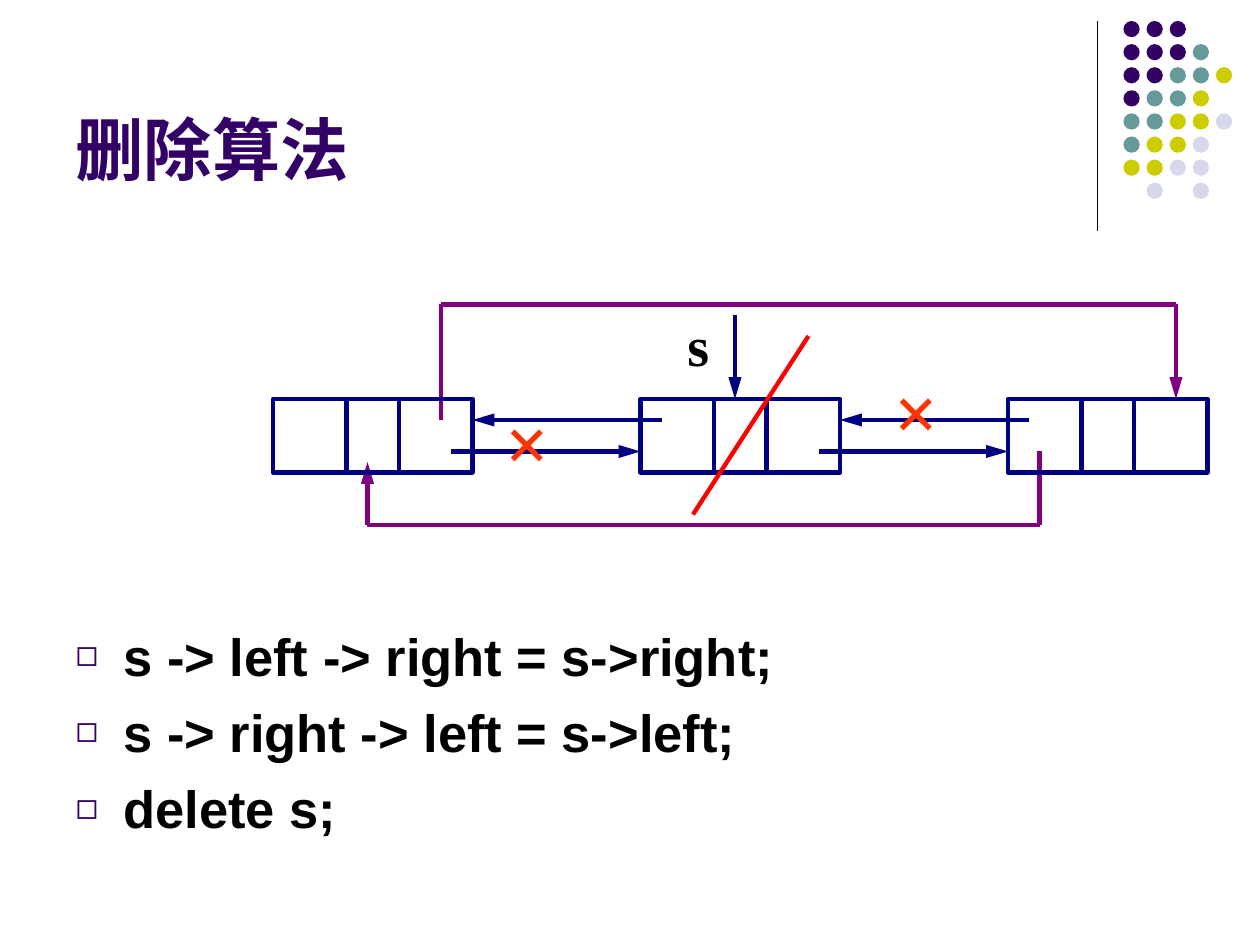
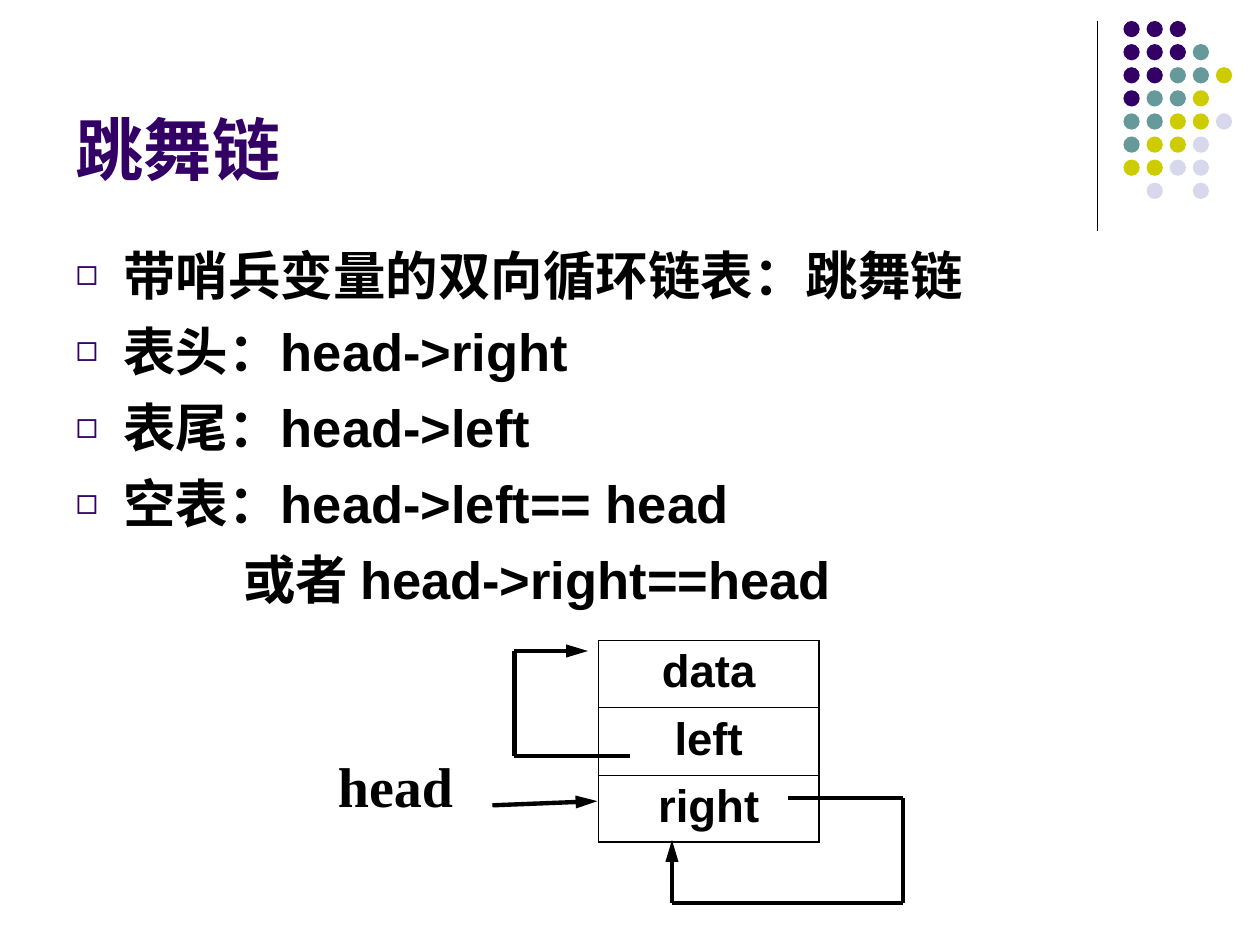
import itertools

import pptx
import pptx.dml.color
import pptx.enum.shapes
import pptx.enum.text
import pptx.oxml
import pptx.oxml.ns
import pptx.util

RGB = pptx.dml.color.RGBColor
PURPLE = RGB(0x33, 0x00, 0x66)
TEAL = RGB(0x66, 0x99, 0x99)
LIME = RGB(0xCC, 0xCC, 0x00)
PALE = RGB(0xD8, 0xD8, 0xEC)
BLACK = RGB(0, 0, 0)
NAVY = RGB(0x00, 0x00, 0x80)
PLUM = RGB(0x80, 0x00, 0x80)
RED = RGB(0xFF, 0x00, 0x00)
CROSS = RGB(0xFF, 0x33, 0x00)

SANS, SERIF = "Arial", "Times New Roman"
DOTS = ("ppp", "pppt", "pptty", "ptty", "ttyyl", "tyyl", "yyll", " l l")
HUES = {"p": PURPLE, "t": TEAL, "y": LIME, "l": PALE}
NODES = (26, 61, 96)  # left column of each list node
WIDE, HIGH, TOP = 19, 7, 38  # node size and top row


def grid(*units):
    """Lengths on a grid of 120 columns by 90 rows, 12 to the inch."""
    return [pptx.util.Inches(unit / 12) for unit in units]


def add_xml(parent, tag, **attrs):
    node = pptx.oxml.parse_xml(f"<a:{tag} {pptx.oxml.ns.nsdecls('a')}/>")
    for key, value in attrs.items():
        node.set(key, str(value))
    parent.append(node)
    return node


def write(frame, *lines, size=30, font=SANS, color=BLACK, align=None,
          before=0, bold=True):
    """Fill a frame, one paragraph a line."""
    frame.word_wrap = True
    frame.auto_size = pptx.enum.text.MSO_AUTO_SIZE.NONE
    for pos, line in enumerate(lines):
        para = frame.paragraphs[0] if pos == 0 else frame.add_paragraph()
        para.space_before = pptx.util.Pt(before)
        para.alignment = align
        run = para.add_run()
        run.text = line
        run.font.size = pptx.util.Pt(size)
        run.font.name = font
        run.font.bold = bold
        run.font.color.rgb = color


def bullet(para):
    props = para._p.get_or_add_pPr()
    indent = pptx.util.Inches(0.38)
    props.set("marL", str(indent))
    props.set("indent", str(-indent))
    add_xml(add_xml(props, "buClr"), "srgbClr", val=PURPLE)
    add_xml(props, "buSzPct", val=70000)
    add_xml(props, "buFont", typeface=SANS)
    add_xml(props, "buChar", char="◻")


def label(shapes, text, box, **style):
    write(shapes.add_textbox(*grid(*box)).text_frame, text, font=SERIF, **style)


def trace(shapes, *points, color=BLACK, width=2.5, arrow=False):
    """Join the points by straight lines; an arrow ends the last one."""
    for start, end in itertools.pairwise(points):
        line = shapes.add_connector(pptx.enum.shapes.MSO_CONNECTOR.STRAIGHT,
                                    *grid(*start, *end))
        line.line.color.rgb = color
        line.line.width = pptx.util.Pt(width)
        add_xml(line.element.spPr, "effectLst")
    if arrow:
        add_xml(line.line._get_or_add_ln(), "tailEnd",
                type="triangle", w="med", len="lg")


def shape(shapes, kind, box, fill=None, edge=None):
    item = shapes.add_shape(kind, *grid(*box))
    item.shadow.inherit = False
    if fill is None:
        item.fill.background()
    else:
        item.fill.solid()
        item.fill.fore_color.rgb = fill
    if edge is None:
        item.line.fill.background()
    else:
        item.line.color.rgb = edge
        item.line.width = pptx.util.Pt(2.5)


def node(shapes, left):
    shape(shapes, pptx.enum.shapes.MSO_SHAPE.RECTANGLE,
          (left, TOP, WIDE, HIGH), edge=NAVY)
    for col in (left + 7, left + 12):
        trace(shapes, (col, TOP), (col, TOP + HIGH), color=NAVY)


def border(cell, side, width):
    props = cell._tc.get_or_add_tcPr()
    line = add_xml(props, side, w=pptx.util.Pt(width))
    add_xml(add_xml(line, "solidFill"), "srgbClr", val=BLACK)


def field_table(shapes, names, box):
    table = shapes.add_table(len(names), 1, *grid(*box)).table
    table.first_row = table.horz_banding = False
    last = len(names) - 1
    for row, name in enumerate(names):
        cell = table.cell(row, 0)
        write(cell.text_frame, name, size=26, before=6.5,
              align=pptx.enum.text.PP_ALIGN.CENTER)
        for side, width in (("lnL", 1.08), ("lnR", 1.08),
                            ("lnT", 0.45 if row else 1.08),
                            ("lnB", 0.45 if row < last else 1.08)):
            border(cell, side, width)
        cell.fill.background()


def set_theme(layout, slide):
    """Give the layout its placeholder places, rule and dot pattern."""
    for spot, box in zip(layout.placeholders,
                         ((6, 1.6, 99, 17), (6, 22.5, 108, 57.9))):
        spot.left, spot.top, spot.width, spot.height = grid(*box)
    group = slide.shapes.add_group_shape()
    trace(group.shapes, (104.5, 2), (104.5, 22), width=0.75)
    for row, marks in enumerate(DOTS):
        for col, mark in enumerate(marks):
            if mark in HUES:
                shape(group.shapes, pptx.enum.shapes.MSO_SHAPE.OVAL,
                      (107 + 2.2 * col, 2 + 2.2 * row, 1.55, 1.55),
                      fill=HUES[mark])
    layout.element.cSld.spTree.append(group.element)
    for pos, item in enumerate(layout.element.xpath(".//p:cNvPr"), 1):
        item.set("id", str(pos))


def fill_page(slide, title, *lines):
    """Write the title and list; return the list placeholder."""
    head, body = slide.placeholders
    write(head.text_frame, title, size=39, color=PURPLE,
          align=pptx.enum.text.PP_ALIGN.LEFT)
    head.text_frame.vertical_anchor = pptx.enum.text.MSO_ANCHOR.BOTTOM
    write(body.text_frame, *lines, before=7.5)
    for para in body.text_frame.paragraphs:
        bullet(para)
    return body


def draw_delete(slide):
    body = fill_page(slide, "删除算法", "s -> left -> right = s->right;",
                     "s -> right -> left = s->left;", "delete s;")
    body.left, body.top, body.width, body.height = grid(6, 58.8, 108, 21.6)
    shapes = slide.shapes
    # New links around the removed node
    trace(shapes, (99, 43), (99, 50), (35, 50), (35, 44), color=PLUM, arrow=True)
    trace(shapes, (42, 40), (42, 29), (112, 29), (112, 38), color=PLUM, arrow=True)
    # Nodes and old links
    for left in NODES:
        node(shapes, left)
    for left, after in itertools.pairwise(NODES):
        edge = left + WIDE
        trace(shapes, (after + 2, 40), (edge, 40), color=NAVY, arrow=True)
        trace(shapes, (edge - 2, 43), (after, 43), color=NAVY, arrow=True)
    # Pointer s and deletion marks
    label(shapes, "s", (64.3, 29, 5, 7.7), size=32)
    trace(shapes, (70, 30), (70, 38), color=NAVY, arrow=True)
    trace(shapes, (77, 32), (66, 49), color=RED)
    for left, top in ((84, 34), (47, 37)):
        label(shapes, "×", (left, top, 11, 10), size=44, color=CROSS)


def draw_chain(slide):
    body = fill_page(slide, "跳舞链", "带哨兵变量的双向循环链表：跳舞链",
                     "表头：head->right", "表尾：head->left",
                     "空表：head->left== head", "或者 head->right==head")
    # The last line continues the one above, without a bullet
    props = body.text_frame.paragraphs[-1]._p.get_or_add_pPr()
    for child in props.xpath("a:buClr|a:buSzPct|a:buFont|a:buChar"):
        props.remove(child)
    add_xml(props, "buNone")
    props.set("marL", str(pptx.util.Inches(1.33)))
    props.set("indent", "0")
    # Sentinel node with its links to itself
    shapes = slide.shapes
    field_table(shapes, ("data", "left", "right"), (57, 61, 21, 19.2))
    trace(shapes, (75, 76), (86, 76), (86, 86), (64, 86), (64, 80), arrow=True)
    trace(shapes, (60, 72), (49, 72), (49, 62), (56, 62), arrow=True)
    trace(shapes, (46.9, 76.7), (56.9, 76.3), arrow=True)
    label(shapes, "head", (31, 71, 16, 7.7), size=32)


def main():
    deck = pptx.Presentation()
    deck.slide_width, deck.slide_height = grid(120, 90)
    layout = deck.slide_layouts[1]
    first, second = (deck.slides.add_slide(layout) for _ in range(2))
    set_theme(layout, first)
    draw_delete(first)
    draw_chain(second)
    deck.save("out.pptx")


if __name__ == "__main__":
    main()
